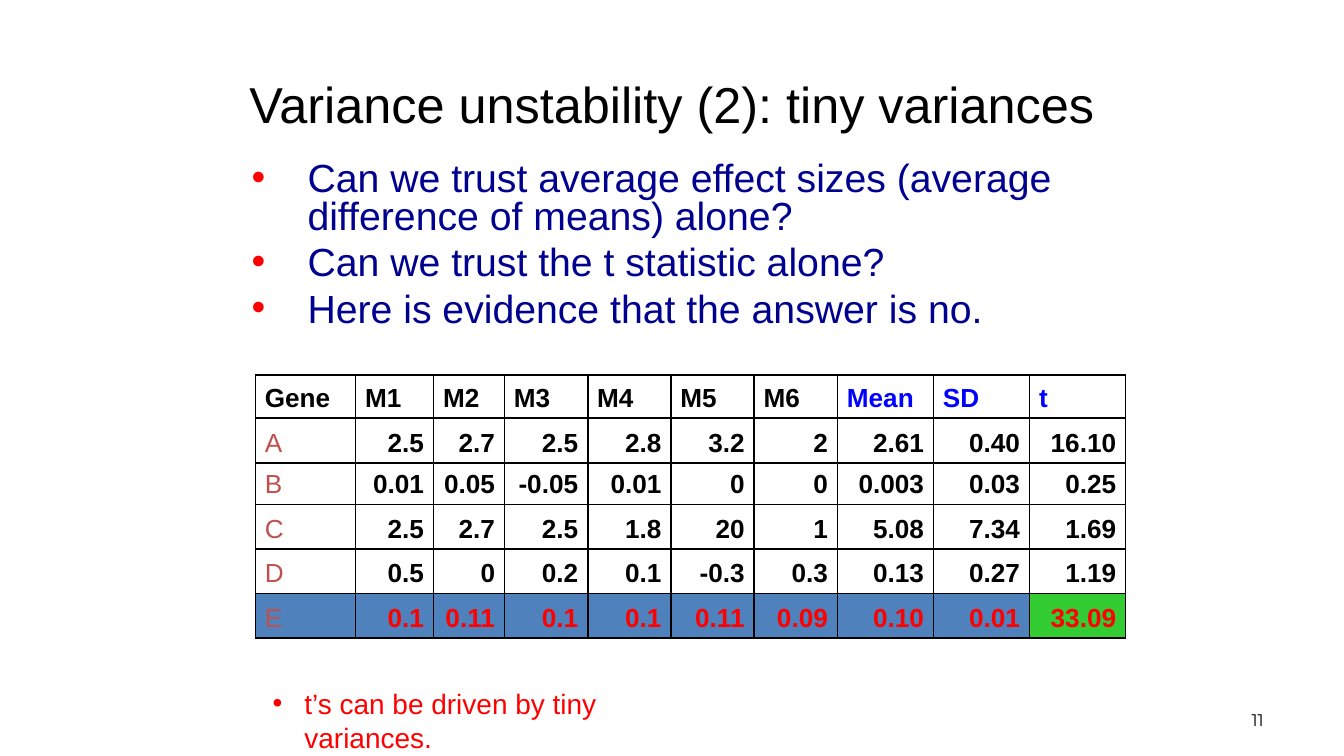
from dataclasses import dataclass

from lxml import etree
from pptx import Presentation
from pptx import util as u
from pptx.dml.color import RGBColor
from pptx.enum import text
from pptx.oxml import ns

BLACK = RGBColor(0, 0, 0)
RED = RGBColor(0xFF, 0, 0)
NAVY = RGBColor(0, 0, 0x90)
BLUE = RGBColor(0, 0, 0xFF)
BRICK = RGBColor(0xC0, 0x50, 0x4D)
STEEL = RGBColor(0x4F, 0x81, 0xBD)
GREEN = RGBColor(0x33, 0xCC, 0x33)

LEFT, CENTER, RIGHT = text.PP_ALIGN.LEFT, text.PP_ALIGN.CENTER, text.PP_ALIGN.RIGHT
TOP, MIDDLE = text.MSO_ANCHOR.TOP, text.MSO_ANCHOR.MIDDLE

COLUMN_WIDTHS = [53.7, 41.8, 38] + [44.6] * 4 + [51.5] * 3
ROW_HEIGHTS = [23.3, 23.9, 21.5, 23.9, 23.9, 23.9]
GENE_ROWS = [
    "Gene M1 M2 M3 M4 M5 M6 Mean SD t".split(),
    "A 2.5 2.7 2.5 2.8 3.2 2 2.61 0.40 16.10".split(),
    "B 0.01 0.05 -0.05 0.01 0 0 0.003 0.03 0.25".split(),
    "C 2.5 2.7 2.5 1.8 20 1 5.08 7.34 1.69".split(),
    "D 0.5 0 0.2 0.1 -0.3 0.3 0.13 0.27 1.19".split(),
    "E 0.1 0.11 0.1 0.1 0.11 0.09 0.10 0.01 33.09".split(),
]
FIRST_STATISTIC = GENE_ROWS[0].index("Mean")


@dataclass
class TextBlock:
    left: float
    top: float
    width: float
    height: float
    lines: list[str]
    size: float
    color: RGBColor
    font: str = "Arial"
    align: text.PP_ALIGN = LEFT
    anchor: text.MSO_ANCHOR = TOP
    indent: float = 0
    hanging: float = 0
    line_spacing: float = 1.0
    space_before: float = 0


def add_element(parent, tag: str, **attributes: str):
    return etree.SubElement(parent, ns.qn(tag), attributes)


def write_text(para, words: str, *, size: float, color: RGBColor,
               font: str = "Arial", bold: bool = False,
               align: text.PP_ALIGN = LEFT) -> None:
    para.alignment = align
    span = para.add_run()
    span.text = words
    span.font.name = font
    span.font.size = u.Pt(size)
    span.font.bold = bold
    span.font.color.rgb = color


def add_bullet(para, indent: float, hanging: float) -> None:
    properties = para._p.get_or_add_pPr()
    properties.set("marL", str(u.Pt(indent)))
    properties.set("indent", str(-u.Pt(hanging)))
    bullet_color = add_element(properties, "a:buClr")
    add_element(bullet_color, "a:srgbClr", val=str(RED))
    add_element(properties, "a:buFont", typeface="Arial")
    add_element(properties, "a:buChar", char="•")


def add_block(page, block: TextBlock) -> None:
    box = page.shapes.add_textbox(u.Pt(block.left), u.Pt(block.top),
                                  u.Pt(block.width), u.Pt(block.height))
    frame = box.text_frame
    frame.word_wrap = True
    frame.vertical_anchor = block.anchor
    for index, line in enumerate(block.lines):
        para = frame.add_paragraph() if index else frame.paragraphs[0]
        para.line_spacing = block.line_spacing
        para.space_before = u.Pt(block.space_before)
        write_text(para, line, size=block.size, color=block.color,
                   font=block.font, align=block.align)
        if block.hanging:
            add_bullet(para, block.indent, block.hanging)


def add_borders(cell) -> None:
    properties = cell._tc.get_or_add_tcPr()
    for side in ("a:lnL", "a:lnR", "a:lnT", "a:lnB"):
        line = add_element(properties, side, w=str(u.Pt(1)))
        fill = add_element(line, "a:solidFill")
        add_element(fill, "a:srgbClr", val=str(BLACK))


def cell_color(row: int, column: int) -> RGBColor:
    if row == 0:
        return BLUE if column >= FIRST_STATISTIC else BLACK
    if column == 0:
        return BRICK
    return RED if row == len(GENE_ROWS) - 1 else BLACK


def fill_cell(cell, row: int, column: int) -> None:
    cell.vertical_anchor = text.MSO_ANCHOR.BOTTOM
    cell.margin_left = cell.margin_right = u.Pt(5.1)
    cell.margin_top = cell.margin_bottom = u.Pt(2.7)
    add_borders(cell)
    if row == len(GENE_ROWS) - 1:
        cell.fill.solid()
        is_last = column == len(COLUMN_WIDTHS) - 1
        cell.fill.fore_color.rgb = GREEN if is_last else STEEL
    else:
        cell.fill.background()
    write_text(cell.text_frame.paragraphs[0], GENE_ROWS[row][column], size=14,
               color=cell_color(row, column), bold=row == 0 or column > 0,
               align=RIGHT if row and column else LEFT)


def add_gene_table(page, left: float, top: float) -> None:
    table = page.shapes.add_table(
        len(ROW_HEIGHTS), len(COLUMN_WIDTHS), u.Pt(left), u.Pt(top),
        u.Pt(sum(COLUMN_WIDTHS)), u.Pt(sum(ROW_HEIGHTS))).table
    table.first_row = table.horz_banding = False
    for column, width in zip(table.columns, COLUMN_WIDTHS):
        column.width = u.Pt(width)
    for row, height in zip(table.rows, ROW_HEIGHTS):
        row.height = u.Pt(height)
    for row in range(len(ROW_HEIGHTS)):
        for column in range(len(COLUMN_WIDTHS)):
            fill_cell(table.cell(row, column), row, column)


PAGE_NUMBER = TextBlock(516, 375, 168, 21.6, ["11"], 9, BLACK, font="Montserrat",
                        align=RIGHT, anchor=MIDDLE)
TITLE = TextBlock(36, 27.4, 648, 56.2, ["Variance unstability (2): tiny variances"],
                  27, BLACK, align=CENTER, anchor=MIDDLE)
CONCLUSION = TextBlock(139, 364.3, 244.8, 43.9, ["t’s can be driven by tiny variances."],
                       15, RED, indent=17, hanging=17, space_before=3)
QUESTIONS = TextBlock(
    121.7, 83.5, 492.5, 106.6,
    ["Can we trust average effect sizes (average difference of means) alone?",
     "Can we trust the t statistic alone?",
     "Here is evidence that the answer is no."],
    21, NAVY, indent=36, hanging=30, line_spacing=0.8, space_before=4.8)


def main() -> None:
    deck = Presentation()
    deck.slide_width, deck.slide_height = u.Pt(720), u.Pt(405)
    page = deck.slides.add_slide(deck.slide_layouts[6])
    add_block(page, PAGE_NUMBER)
    add_block(page, TITLE)
    add_gene_table(page, 136.8, 200.8)
    add_block(page, CONCLUSION)
    add_block(page, QUESTIONS)
    deck.save("out.pptx")


if __name__ == "__main__":
    main()
